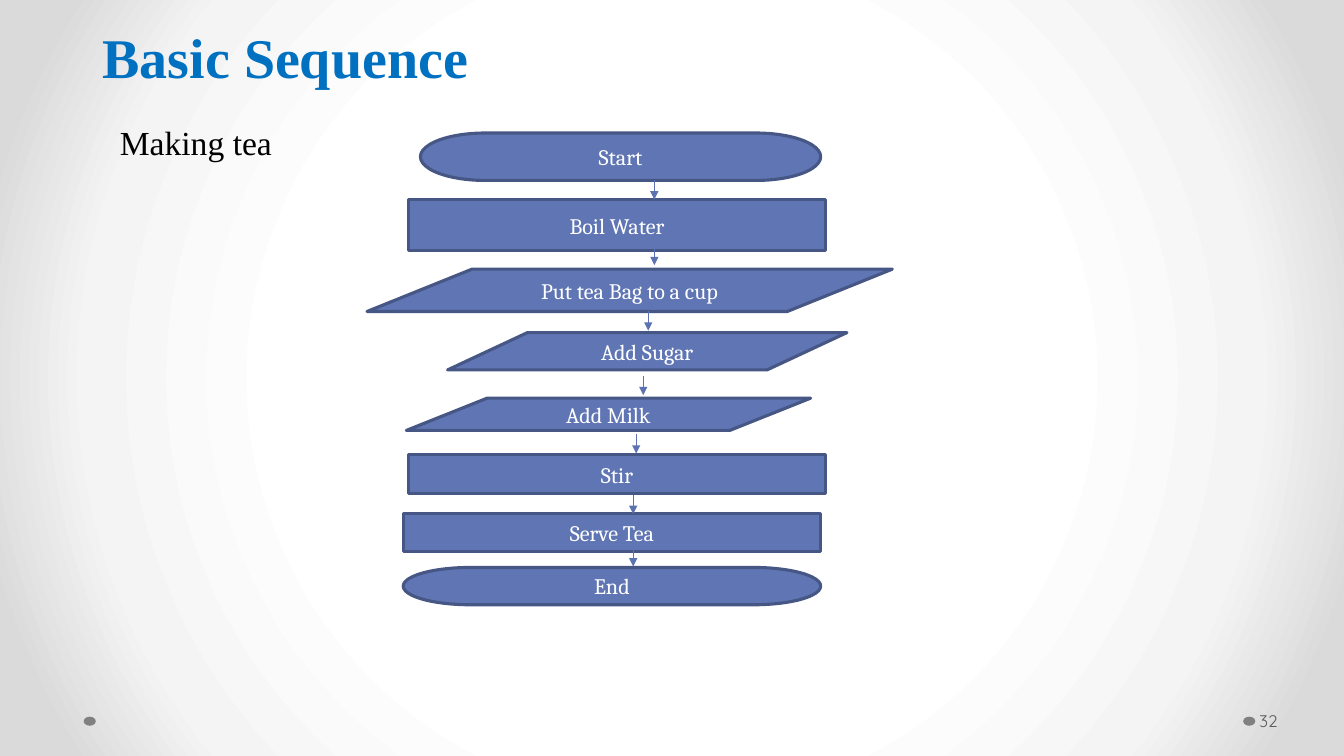
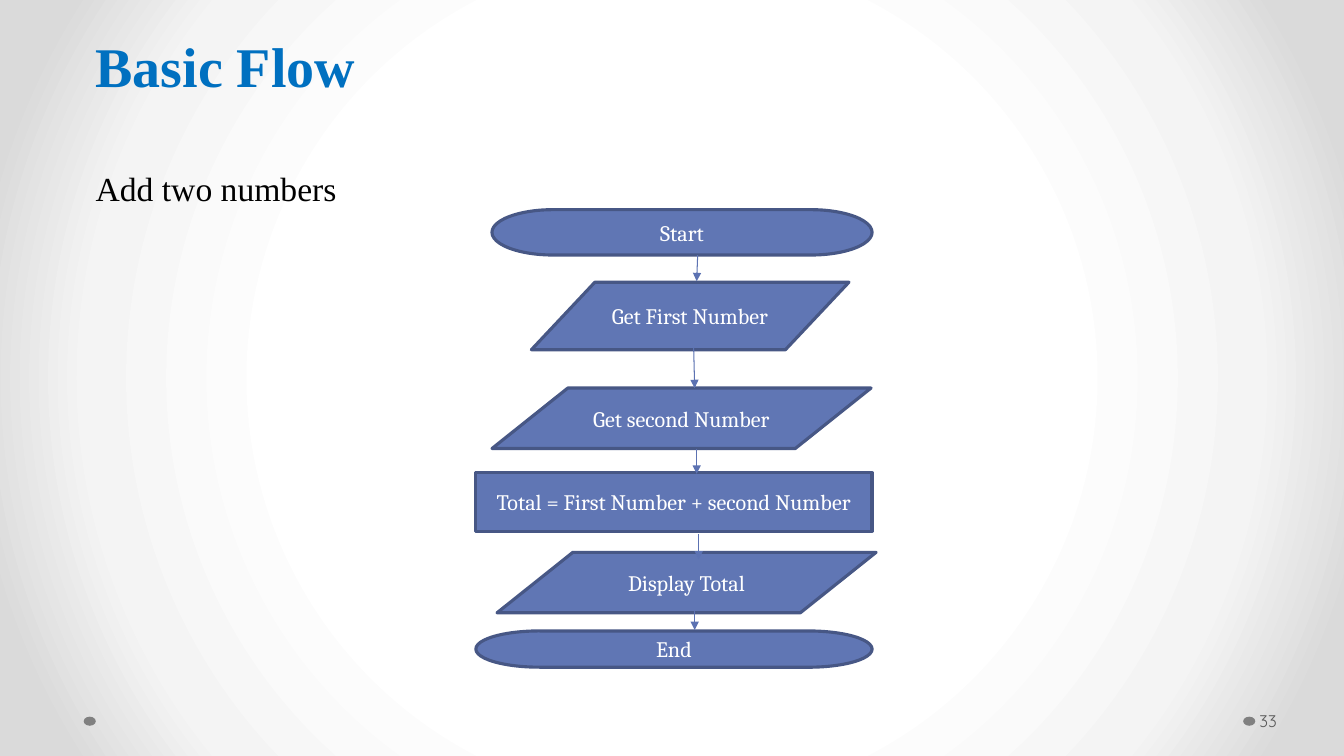
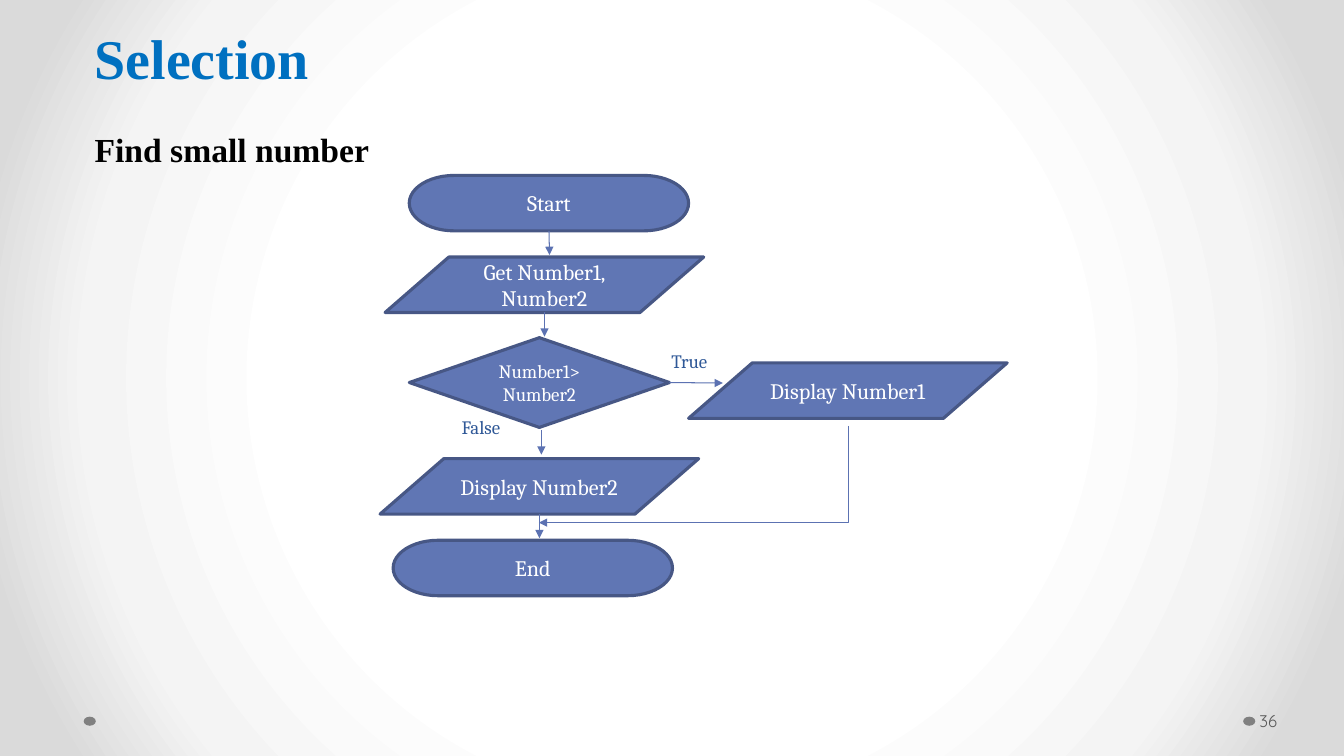
from pptx import Presentation
from pptx.dml.color import RGBColor
from pptx.enum.shapes import MSO_CONNECTOR as LINE, MSO_SHAPE as SHAPE
from pptx.enum.text import MSO_ANCHOR as ANCHOR, PP_ALIGN as ALIGN
from pptx.oxml import parse_xml
from pptx.oxml.ns import nsdecls, qn
from pptx.util import Inches, Pt

SKY = RGBColor(0x00, 0x70, 0xC0)
BLACK = RGBColor(0x00, 0x00, 0x00)
WHITE = RGBColor(0xFF, 0xFF, 0xFF)
FILL = RGBColor(0x60, 0x76, 0xB4)
EDGE = RGBColor(0x47, 0x57, 0x85)
ARROW = RGBColor(0x5C, 0x72, 0xB2)
NAVY = RGBColor(0x2F, 0x58, 0x97)
DOT = RGBColor(0x80, 0x80, 0x80)
GRAY = RGBColor(0x59, 0x59, 0x59)
STOPS = ((50, "FFFFFF"), (76, "F4F4F4"), (92, "DADADA"))

TITLE = {"size": Pt(40), "name": "Times New Roman", "bold": True}
LEAD = {"size": Pt(24), "name": "Times New Roman", "bold": False}
STRONG = {**LEAD, "bold": True}
NODE = {"size": Pt(15.8), "name": "Cambria"}
SMALL = {**NODE, "size": Pt(13.5)}
PAGE = {"size": Pt(12), "name": "Quicksand"}

ROUND = SHAPE.FLOWCHART_TERMINATOR
RECT = SHAPE.RECTANGLE
SLANT = SHAPE.FLOWCHART_DATA
CHOICE = SHAPE.DIAMOND


def inch(*nums):
    """Turn numbers into rounded lengths."""
    return [Inches(round(num, 2)) for num in nums]


def style(item, form):
    """Set each format value on an item."""
    for key, val in form.items():
        setattr(item, key, val)


def write(shape, text, font, color, **frame):
    """Put one styled line of text in a shape."""
    body = shape.text_frame
    style(body, {"word_wrap": True, **frame})
    line = body.paragraphs[0]
    run = line.add_run()
    run.text = text
    style(run.font, font)
    run.font.color.rgb = color
    return line


def label(slide, box, text, font, color, **frame):
    """Add a text box."""
    return write(slide.shapes.add_textbox(*inch(*box)), text, font, color, **frame)


def solid(slide, kind, box, color):
    """Add a plain filled shape."""
    shape = slide.shapes.add_shape(kind, *inch(*box))
    shape.shadow.inherit = False
    shape.fill.solid()
    shape.fill.fore_color.rgb = color
    shape.line.fill.background()
    return shape


def node(slide, kind, text, box):
    """Add one step of a flow chart."""
    shape = solid(slide, kind, box, FILL)
    shape.line.color.rgb = EDGE
    shape.line.width = Pt(2.25)
    font = SMALL if kind == CHOICE else NODE
    line = write(shape, text, font, WHITE, vertical_anchor=ANCHOR.MIDDLE)
    line.alignment = ALIGN.CENTER
    return shape


def arrow(slide, ends, kind=LINE.STRAIGHT):
    """Add a thin line with an arrowhead at its end."""
    link = slide.shapes.add_connector(kind, *inch(*ends))
    link.line.color.rgb = ARROW
    link.line.width = Pt(0.75)
    link.line._get_or_add_ln().append(
        parse_xml(f'<a:tailEnd {nsdecls("a")} type="triangle"/>'))
    link._element.spPr.append(parse_xml(f'<a:effectLst {nsdecls("a")}/>'))
    return link


def bend(slide, x1, y1, x2, y2):
    """Add an arrow that goes down and then left."""
    mid, half = (x1 + x2) / 2, (y1 + y2) / 2
    wide, high = y2 - y1, x1 - x2
    link = arrow(slide, (mid - wide / 2, half - high / 2,
                         mid + wide / 2, half + high / 2), LINE.ELBOW)
    shape = link._element.spPr
    shape.find(qn("a:xfrm")).set("rot", "5400000")
    shape.find(qn("a:prstGeom")).set("prst", "bentConnector2")


def chart(slide, left, top, nodes, links, joins=()):
    """Draw steps and arrows from a corner; joins tie arrows to steps."""
    steps = [node(slide, kind, text, (left + x, top + y, w, h))
             for kind, text, x, y, w, h in nodes]
    lines = [arrow(slide, (left + x1, top + y1, left + x2, top + y2))
             for x1, y1, x2, y2 in links]
    for line, step, side in joins:
        lines[line].begin_connect(steps[step], side)


def paint(master):
    """Give the master its round gradient."""
    master.background.fill.gradient()
    grad = master.element.cSld.find(".//" + qn("a:gradFill"))
    stops = "".join(f'<a:gs pos="{pos * 1000}"><a:srgbClr val="{tint}"/></a:gs>'
                    for pos, tint in STOPS)
    fresh = parse_xml(
        f'<a:gradFill {nsdecls("a")} rotWithShape="1"><a:gsLst>{stops}</a:gsLst>'
        '<a:path path="circle"><a:fillToRect l="50000" t="50000" r="50000" '
        'b="50000"/></a:path></a:gradFill>')
    grad.getparent().replace(grad, fresh)


def base(deck, title, box, page):
    """Add a slide with dots, title and page number."""
    slide = deck.slides.add_slide(deck.slide_layouts[6])
    for left in (12.33, 0.83):
        solid(slide, SHAPE.OVAL, (left, 7.11, 0.12, 0.09), DOT)
    head = label(slide, box, title, TITLE, SKY, vertical_anchor=ANCHOR.BOTTOM)
    head.line_spacing = Pt(58)
    label(slide, (12.46, 6.95, 0.82, 0.4), page, PAGE, GRAY,
          vertical_anchor=ANCHOR.MIDDLE, margin_left=Inches(0.03),
          margin_right=Inches(0.05))
    return slide


def tea(deck):
    """Build the tea slide."""
    slide = base(deck, "Basic Sequence", (0.92, 0.47, 8.62, 0.47), "32")
    label(slide, (1.09, 1.16, 2.25, 0.91), "Making tea", LEAD, BLACK)
    nodes = (
        (ROUND, "Start", 0.57, 0.02, 3.97, 0.47),
        (RECT, "Boil Water", 0.45, 0.68, 4.14, 0.51),
        (SLANT, "Put tea Bag to a cup", 0.04, 1.37, 5.21, 0.42),
        (SLANT, "Add Sugar", 0.84, 2, 3.96, 0.37),
        (SLANT, "Add Milk", 0.43, 2.65, 4.01, 0.32),
        (RECT, "Stir", 0.45, 3.21, 4.14, 0.39),
        (RECT, "Serve Tea", 0.4, 3.79, 4.14, 0.38),
        (ROUND, "End", 0.4, 4.33, 4.14, 0.37),
    )
    drops = ((2.89, 0.49), (2.89, 1.14), (2.83, 1.79), (2.78, 2.43),
             (2.71, 3.01), (2.68, 3.61), (2.68, 4.13))
    chart(slide, 3.6, 1.3, nodes, [(x, y, x, y + 0.19) for x, y in drops])


def total(deck):
    """Build the sum slide."""
    slide = base(deck, "Basic Flow", (0.85, 0.46, 8.62, 0.57), "33")
    label(slide, (0.85, 1.62, 3.15, 0.91), "Add two numbers", LEAD, BLACK)
    nodes = (
        (ROUND, "Start", 0.18, 0.08, 3.77, 0.45),
        (SLANT, "Get First Number", 0.57, 0.8, 3.15, 0.67),
        (SLANT, "Get second Number", 0.18, 1.85, 3.76, 0.6),
        (RECT, "Total = First Number + second Number", 0.02, 2.69, 3.93, 0.58),
        (SLANT, "Display Total", 0.23, 3.48, 3.76, 0.6),
        (ROUND, "End", 0.02, 4.26, 3.93, 0.36),
    )
    links = ((2.22, 0.53, 2.21, 0.79), (2.18, 1.45, 2.19, 1.85),
             (2.21, 2.45, 2.21, 2.7), (2.23, 3.3, 2.23, 3.55),
             (2.19, 4.06, 2.19, 4.25))
    chart(slide, 4.7, 2, nodes, links)


def choose(deck):
    """Build the choice slide."""
    slide = base(deck, "Selection", (0.84, 0.34, 8.62, 0.61), "36")
    label(slide, (0.84, 1.23, 2.93, 0.5), "Find small number", STRONG, BLACK)
    left, top = 3.7, 1.7
    nodes = (
        (ROUND, "Start", 0.36, 0.04, 2.77, 0.55),
        (SLANT, "Get Number1, Number2", 0.12, 0.85, 3.16, 0.55),
        (CHOICE, "Number1> Number2", 0.36, 1.65, 2.58, 0.89),
        (SLANT, "Display Number2", 0.07, 2.85, 3.16, 0.55),
        (SLANT, "Display Number1", 3.13, 1.9, 3.16, 0.55),
        (ROUND, "End", 0.2, 3.66, 2.77, 0.55),
    )
    drops = ((1.75, 0.59), (1.7, 1.4), (1.67, 2.57), (1.65, 3.4))
    links = [(x, y, x, y + 0.24) for x, y in drops]
    links.append((2.95, 2.1, 3.47, 2.1))
    chart(slide, left, top, nodes, links, ((0, 0, 2), (4, 2, 3)))
    bend(slide, left + 4.71, top + 2.53, left + 1.65, top + 3.48)
    for text, x, y in (("True", 2.86, 1.72), ("False", 0.78, 2.37)):
        label(slide, (left + x, top + y, 0.84, 0.33), text, SMALL, NAVY)


def main():
    """Build and save the deck."""
    deck = Presentation()
    deck.slide_width, deck.slide_height = inch(13.33, 7.5)
    paint(deck.slide_master)
    for build in (tea, total, choose):
        build(deck)
    deck.save("out.pptx")


if __name__ == "__main__":
    main()
